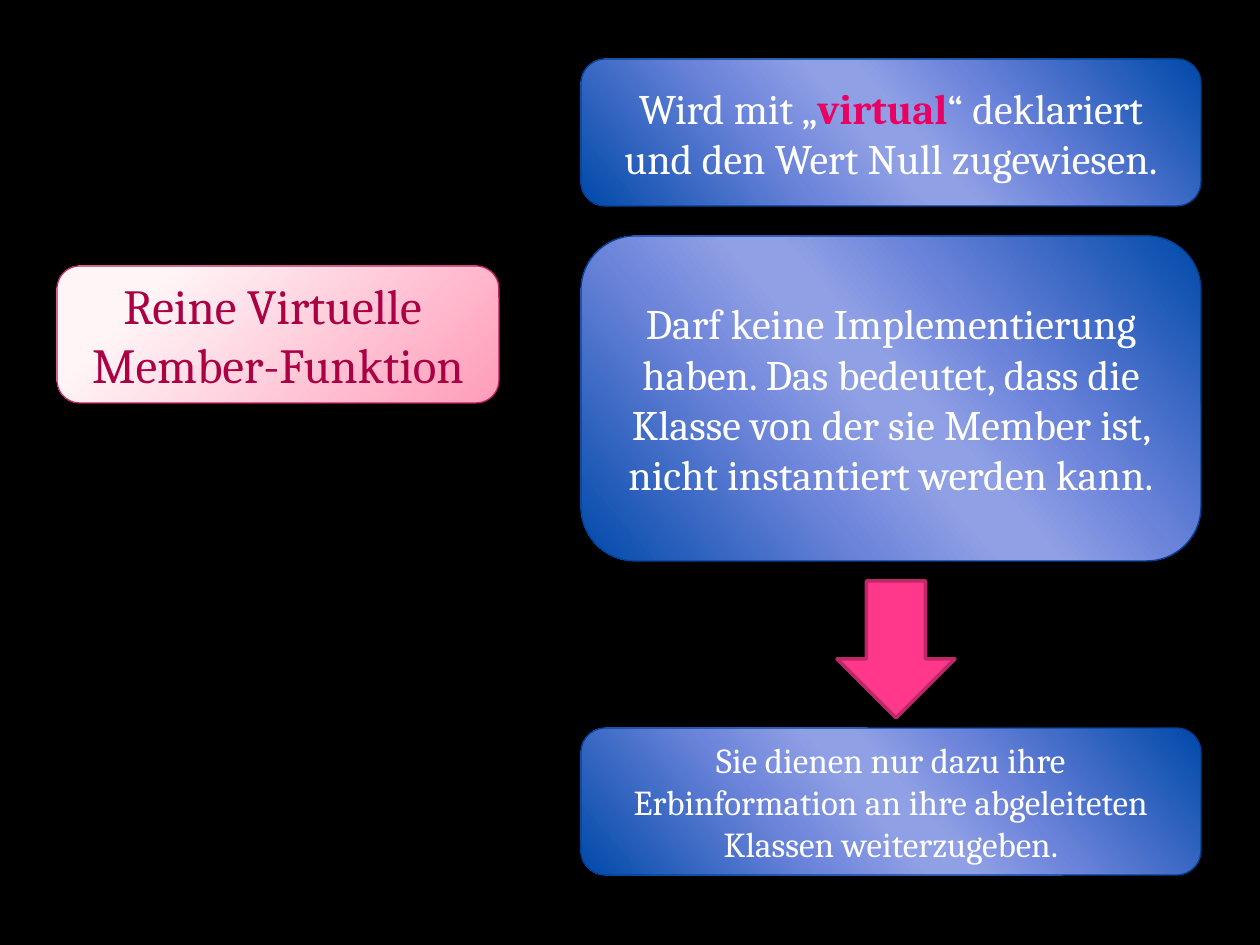
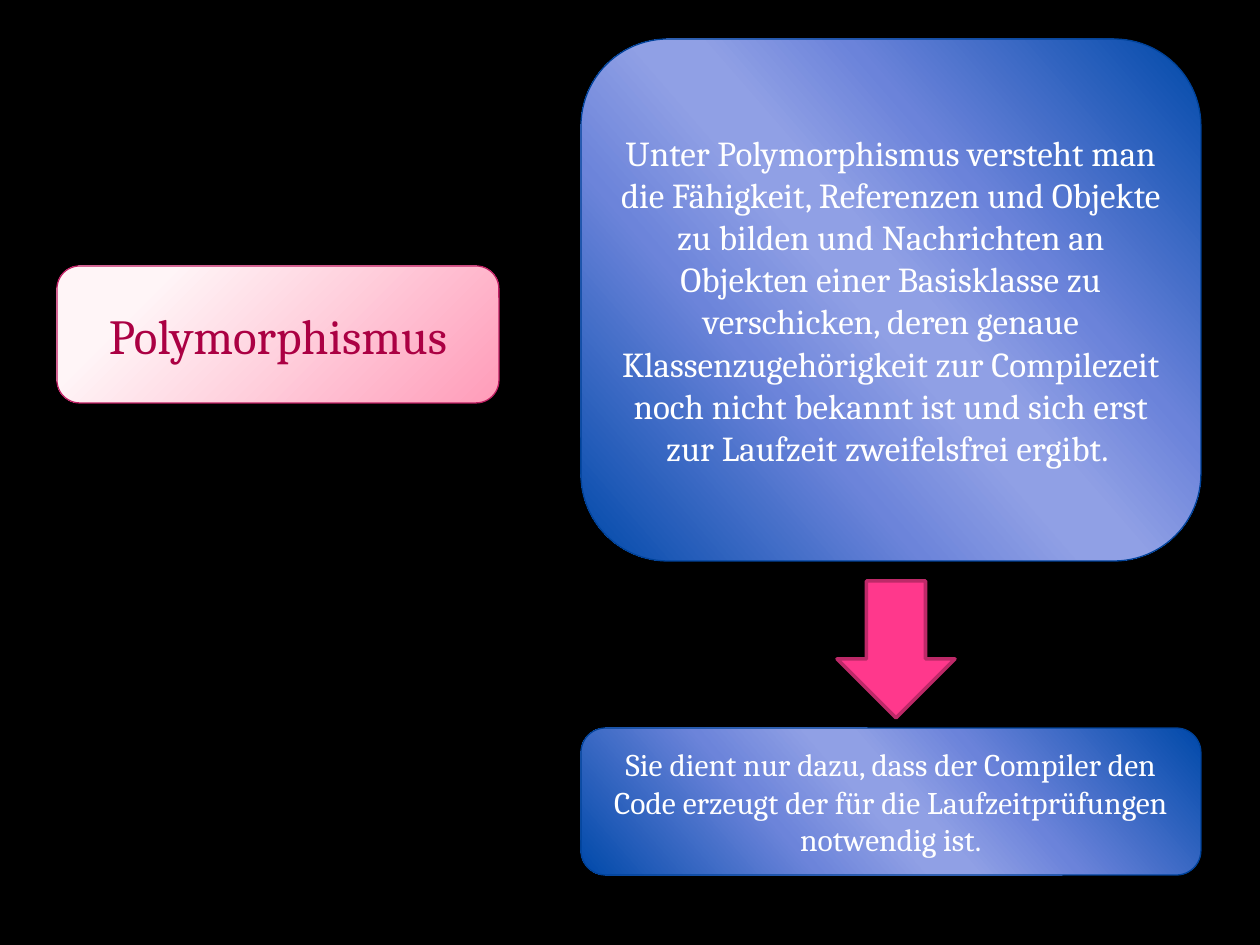
from pptx import Presentation
from pptx import util as u
from pptx.dml.color import RGBColor
from pptx.enum import shapes, text
from pptx.oxml import parse_xml
from pptx.oxml.ns import nsdecls, qn

PX = u.Inches(1) / 126
FONT = "Cambria"
BLACK = RGBColor(0x00, 0x00, 0x00)
WHITE = RGBColor(0xFF, 0xFF, 0xFF)
KEYWORD = RGBColor(0xE9, 0x00, 0x62)
TERM_TEXT = RGBColor(0xAB, 0x00, 0x43)
TERM_LINE = RGBColor(0xC1, 0x21, 0x65)
TERM_LIGHT = RGBColor(0xFF, 0xF5, 0xF7)
TERM_DARK = RGBColor(0xFF, 0x9C, 0xB9)
BLUE_LINE = RGBColor(0x00, 0x42, 0x99)
BLUE_DARK = RGBColor(0x00, 0x49, 0xA9)
BLUE_LEFT = RGBColor(0x6B, 0x83, 0xDA)
BLUE_LIGHT = RGBColor(0x90, 0xA0, 0xE5)
BLUE_RIGHT = RGBColor(0x6C, 0x84, 0xDA)
ARROW_FILL = RGBColor(0xFF, 0x38, 0x8C)
ARROW_LINE = RGBColor(0xBD, 0x29, 0x68)

TERM_STOPS = [(20, TERM_LIGHT), (100, TERM_DARK)]
TERM_SHADE = ('<a:path path="circle"><a:fillToRect l="-15000" t="-15000" '
              'r="115000" b="115000"/></a:path>')
BLUE_STOPS = [(0, BLUE_DARK), (33, BLUE_LEFT), (47, BLUE_LIGHT),
              (53, BLUE_LIGHT), (68, BLUE_RIGHT), (100, BLUE_DARK)]
BLUE_SHADE = f'<a:lin ang="{139 * 60000}" scaled="1"/>'


def px(length):
    return u.Emu(round(length * PX))


def add_outlined(slide, preset, box, line_color, line_width):
    shape = slide.shapes.add_shape(preset, *map(px, box))
    shape.shadow.inherit = False
    shape.line.color.rgb = line_color
    shape.line.width = u.Pt(line_width)
    return shape


def fill_gradient(shape, stops, shade):
    marks = "".join(
        f'<a:gs pos="{percent * 1000}"><a:srgbClr val="{color}"/></a:gs>'
        for percent, color in stops)
    gradient = parse_xml(
        f'<a:gradFill {nsdecls("a")} rotWithShape="1">'
        f'<a:gsLst>{marks}</a:gsLst>{shade}</a:gradFill>')
    shape.fill.gradient()
    properties = shape._element.spPr
    properties.replace(properties.find(qn("a:gradFill")), gradient)


def write_paragraphs(shape, paragraphs, size, color):
    frame = shape.text_frame
    frame.word_wrap = True
    frame.vertical_anchor = text.MSO_ANCHOR.MIDDLE
    for index, pieces in enumerate(paragraphs):
        paragraph = frame.add_paragraph() if index else frame.paragraphs[0]
        paragraph.alignment = text.PP_ALIGN.CENTER
        for words in pieces:
            run = paragraph.add_run()
            run.text = words
            run.font.name = FONT
            run.font.size = u.Pt(size)
            is_keyword = words == "virtual"
            run.font.bold = is_keyword
            run.font.color.rgb = KEYWORD if is_keyword else color


def add_term(slide, *lines):
    term = add_outlined(slide, shapes.MSO_SHAPE.ROUNDED_RECTANGLE,
                        (57, 266, 442, 137), TERM_LINE, 0.75)
    fill_gradient(term, TERM_STOPS, TERM_SHADE)
    write_paragraphs(term, [[line] for line in lines], 28, TERM_TEXT)


def add_statement(slide, top, height, size, *pieces):
    statement = add_outlined(slide, shapes.MSO_SHAPE.ROUNDED_RECTANGLE,
                             (581, top, 620, height), BLUE_LINE, 0.75)
    fill_gradient(statement, BLUE_STOPS, BLUE_SHADE)
    write_paragraphs(statement, [pieces], size, WHITE)


def add_conclusion(slide, size, sentence):
    add_statement(slide, 728, 147, size, sentence)
    arrow = add_outlined(slide, shapes.MSO_SHAPE.DOWN_ARROW,
                         (837, 581, 118, 137), ARROW_LINE, 2)
    arrow.fill.solid()
    arrow.fill.fore_color.rgb = ARROW_FILL


def add_black_slide(deck):
    slide = deck.slides.add_slide(deck.slide_layouts[6])
    slide.background.fill.solid()
    slide.background.fill.fore_color.rgb = BLACK
    return slide


def build_pure_virtual(deck):
    slide = add_black_slide(deck)
    add_term(slide, "Reine Virtuelle ", "Member-Funktion")
    add_statement(slide, 59, 147, 24, "Wird mit „", "virtual",
                  "“ deklariert und den Wert Null zugewiesen.")
    add_statement(slide, 236, 325, 24,
                  "Darf keine Implementierung haben. Das bedeutet, dass die "
                  "Klasse von der sie Member ist, nicht instantiert werden "
                  "kann.")
    add_conclusion(slide, 20,
                   "Sie dienen nur dazu ihre Erbinformation an ihre "
                   "abgeleiteten Klassen weiterzugeben.")


def build_polymorphism(deck):
    slide = add_black_slide(deck)
    add_term(slide, "Polymorphismus")
    add_statement(slide, 39, 522, 20,
                  "Unter Polymorphismus versteht man die Fähigkeit, "
                  "Referenzen und Objekte zu bilden und Nachrichten an "
                  "Objekten einer Basisklasse zu verschicken, deren genaue "
                  "Klassenzugehörigkeit zur Compilezeit noch nicht bekannt "
                  "ist und sich erst zur Laufzeit zweifelsfrei ergibt. ")
    add_conclusion(slide, 18,
                   "Sie dient nur dazu, dass der Compiler den Code erzeugt "
                   "der für die Laufzeitprüfungen notwendig ist.")


def main():
    deck = Presentation()
    deck.slide_width = px(1260)
    deck.slide_height = px(945)
    build_pure_virtual(deck)
    build_polymorphism(deck)
    deck.save("out.pptx")


main()
